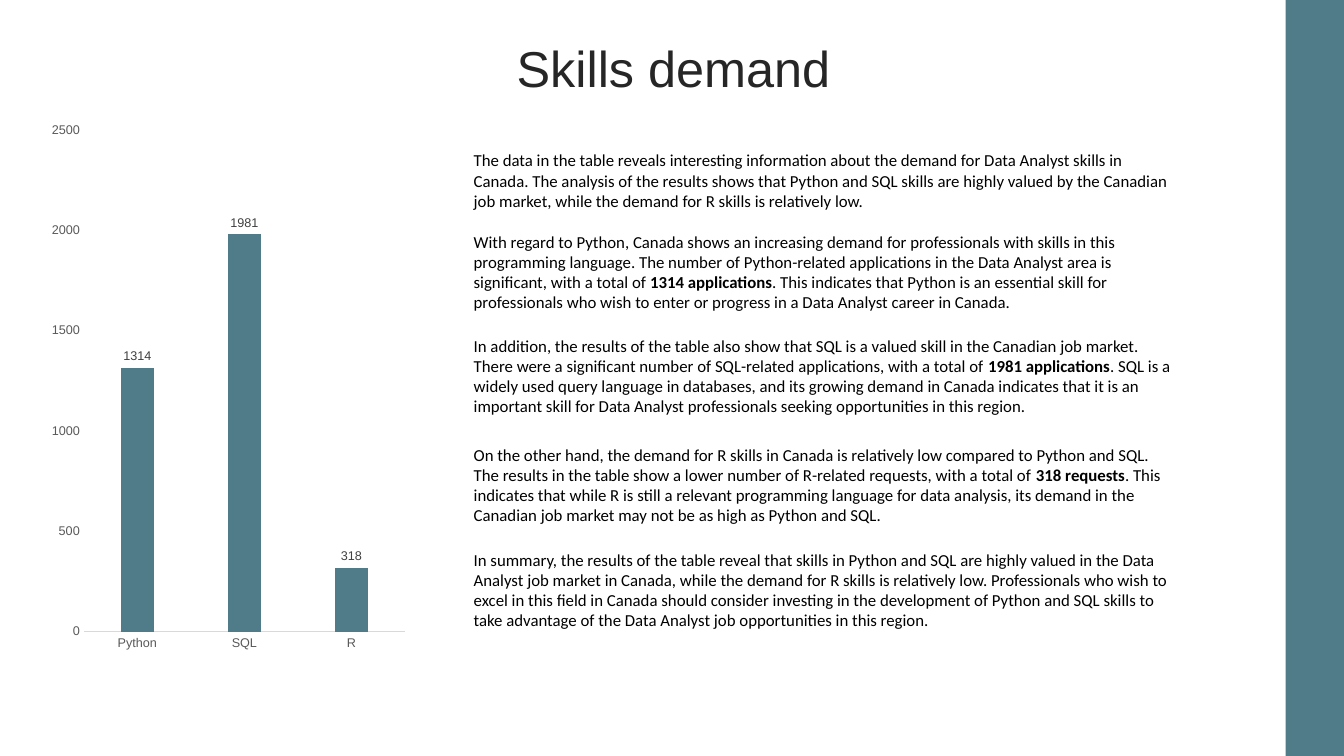
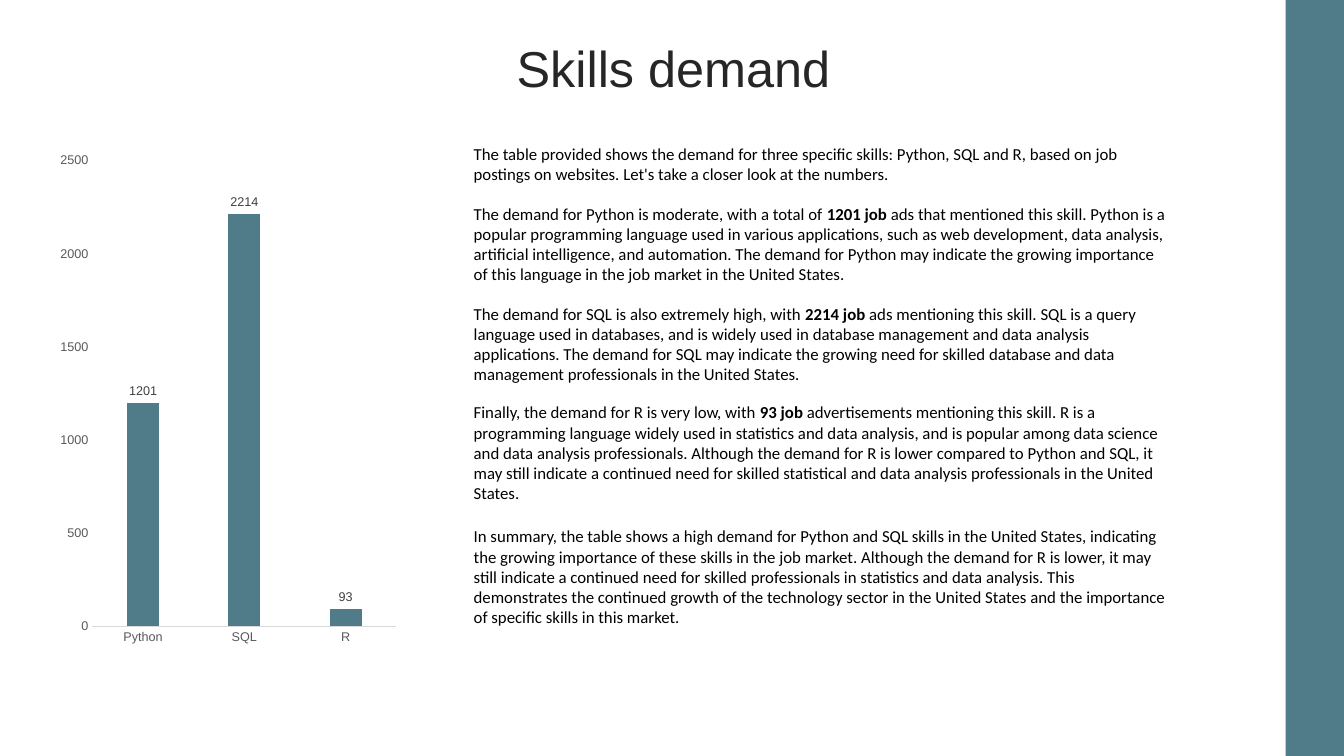
"""Build two slides on the demand for data skills."""
from dataclasses import dataclass

from pptx import Presentation
from pptx.chart.data import CategoryChartData
from pptx.dml.color import RGBColor
from pptx.enum.chart import XL_CHART_TYPE, XL_LABEL_POSITION, XL_TICK_MARK
from pptx.enum.shapes import MSO_SHAPE
from pptx.enum.text import MSO_ANCHOR, MSO_AUTO_SIZE, PP_ALIGN
from pptx.util import Inches, Pt

COLUMN = XL_CHART_TYPE.COLUMN_CLUSTERED
OUTSIDE = XL_LABEL_POSITION.OUTSIDE_END
NO_TICK = XL_TICK_MARK.NONE
RECT = MSO_SHAPE.RECTANGLE
TOP, MIDDLE = MSO_ANCHOR.TOP, MSO_ANCHOR.MIDDLE
FIXED, GROW = MSO_AUTO_SIZE.NONE, MSO_AUTO_SIZE.SHAPE_TO_FIT_TEXT
LEFT, CENTER = PP_ALIGN.LEFT, PP_ALIGN.CENTER


@dataclass(frozen=True)
class Theme:
    """Colours, fonts and type sizes of the deck."""
    teal: str = "507C89"
    ink: str = "262626"
    black: str = "000000"
    axis: str = "595959"
    label: str = "404040"
    rule: str = "D9D9D9"
    head: str = "Arial"
    body: str = "Calibri"
    title: float = 36
    copy: float = 12
    chart: float = 10
    small: float = 9


@dataclass(frozen=True)
class Box:
    """A place on the slide in inches."""
    left: float
    top: float
    width: float
    height: float

    def place(self) -> tuple:
        """Return the four lengths."""
        return tuple(Inches(n) for n in (self.left, self.top, self.width, self.height))


@dataclass(frozen=True)
class Note:
    """A text block; words between asterisks are bold."""
    top: float
    lines: int
    words: str


@dataclass(frozen=True)
class Page:
    """The chart and notes of one slide."""
    plot: Box
    counts: tuple
    notes: tuple


THEME = Theme()
TITLE = "Skills demand"
HEAD = Box(0.35, 0.31, 12.66, 0.79)
BAND = Box(12.75, 0, 0.58, 7.5)
NOTE_LEFT, NOTE_WIDTH = 4.6, 7.13
LINE, INSETS = 0.2, 0.1
SKILLS = ("Python", "SQL", "R")

PAGES = (
    Page(Box(0.44, 1.11, 3.65, 5.45), (1314, 1981, 318), (
        Note(1.44, 3,
             "The data in the table reveals interesting information about the demand for "
             "Data Analyst skills in Canada. The analysis of the results shows that Python "
             "and SQL skills are highly valued by the Canadian job market, while the demand "
             "for R skills is relatively low."),
        Note(2.25, 4,
             "With regard to Python, Canada shows an increasing demand for professionals "
             "with skills in this programming language. The number of Python-related "
             "applications in the Data Analyst area is significant, with a total of "
             "*1314 applications*. This indicates that Python is an essential skill for "
             "professionals who wish to enter or progress in a Data Analyst career in Canada."),
        Note(3.28, 4,
             "In addition, the results of the table also show that SQL is a valued skill in "
             "the Canadian job market. There were a significant number of SQL-related "
             "applications, with a total of *1981 applications*. SQL is a widely used query "
             "language in databases, and its growing demand in Canada indicates that it is "
             "an important skill for Data Analyst professionals seeking opportunities in "
             "this region."),
        Note(4.36, 4,
             "On the other hand, the demand for R skills in Canada is relatively low "
             "compared to Python and SQL. The results in the table show a lower number of "
             "R-related requests, with a total of *318 requests*. This indicates that while "
             "R is still a relevant programming language for data analysis, its demand in "
             "the Canadian job market may not be as high as Python and SQL."),
        Note(5.4, 4,
             "In summary, the results of the table reveal that skills in Python and SQL are "
             "highly valued in the Data Analyst job market in Canada, while the demand for R "
             "skills is relatively low. Professionals who wish to excel in this field in "
             "Canada should consider investing in the development of Python and SQL skills "
             "to take advantage of the Data Analyst job opportunities in this region."),
    )),
    Page(Box(0.53, 1.42, 3.47, 5.08), (1201, 2214, 93), (
        Note(1.38, 2,
             "The table provided shows the demand for three specific skills: Python, SQL and "
             "R, based on job postings on websites. Let's take a closer look at the numbers."),
        Note(1.97, 4,
             "The demand for Python is moderate, with a total of *1201 job *ads that "
             "mentioned this skill. Python is a popular programming language used in various "
             "applications, such as web development, data analysis, artificial intelligence, "
             "and automation. The demand for Python may indicate the growing importance of "
             "this language in the job market in the United States."),
        Note(2.96, 4,
             "The demand for SQL is also extremely high, with *2214 job *ads mentioning this "
             "skill. SQL is a query language used in databases, and is widely used in "
             "database management and data analysis applications. The demand for SQL may "
             "indicate the growing need for skilled database and data management "
             "professionals in the United States."),
        Note(3.94, 5,
             "Finally, the demand for R is very low, with *93 job *advertisements mentioning "
             "this skill. R is a programming language widely used in statistics and data "
             "analysis, and is popular among data science and data analysis professionals. "
             "Although the demand for R is lower compared to Python and SQL, it may still "
             "indicate a continued need for skilled statistical and data analysis "
             "professionals in the United States."),
        Note(5.17, 5,
             "In summary, the table shows a high demand for Python and SQL skills in the "
             "United States, indicating the growing importance of these skills in the job "
             "market. Although the demand for R is lower, it may still indicate a continued "
             "need for skilled professionals in statistics and data analysis. This "
             "demonstrates the continued growth of the technology sector in the United "
             "States and the importance of specific skills in this market."),
    )),
)


def style(font, size: float, color: str, face: str) -> None:
    """Set size, colour and face of a font."""
    font.size, font.name = Pt(size), face
    font.color.rgb = RGBColor.from_string(color)


def write(shape, words: str, *, size: float = THEME.copy, color: str = THEME.black,
          face: str = THEME.body, align=LEFT, anchor=TOP, fit=GROW,
          spacing: float = 1.0) -> None:
    """Fill a shape with formatted text."""
    frame = shape.text_frame
    frame.word_wrap, frame.auto_size = True, fit
    frame.vertical_anchor = anchor
    para = frame.paragraphs[0]
    para.alignment, para.line_spacing = align, spacing
    for index, part in enumerate(words.split("*")):
        run = para.add_run()
        run.text = part
        style(run.font, size, color, face)
        run.font.bold = index % 2 == 1


def add_frame(slide) -> None:
    """Set the title and draw the side band."""
    title = slide.shapes.title
    title.left, title.top, title.width, title.height = HEAD.place()
    write(title, TITLE, size=THEME.title, color=THEME.ink, face=THEME.head,
          align=CENTER, anchor=MIDDLE, fit=FIXED, spacing=0.9)
    band = slide.shapes.add_shape(RECT, *BAND.place())
    band.shadow.inherit = False
    band.fill.solid()
    band.fill.fore_color.rgb = RGBColor.from_string(THEME.teal)
    band.line.fill.background()


def add_note(slide, note: Note) -> None:
    """Add one block of body text."""
    box = Box(NOTE_LEFT, note.top, NOTE_WIDTH, INSETS + LINE * note.lines)
    write(slide.shapes.add_textbox(*box.place()), note.words)


def add_plot(slide, box: Box, counts: tuple) -> None:
    """Add the column chart of skills."""
    data = CategoryChartData()
    data.categories = SKILLS
    data.add_series("Series 1", counts)
    chart = slide.shapes.add_chart(COLUMN, *box.place(), data).chart
    chart.has_title = chart.has_legend = False
    style(chart.font, THEME.chart, THEME.black, THEME.head)
    for axis in (chart.category_axis, chart.value_axis):
        axis.major_tick_mark = axis.minor_tick_mark = NO_TICK
        axis.has_major_gridlines = False
        style(axis.tick_labels.font, THEME.small, THEME.axis, THEME.head)
    line = chart.category_axis.format.line
    line.color.rgb = RGBColor.from_string(THEME.rule)
    line.width = Pt(0.75)
    scale = chart.value_axis
    scale.format.line.fill.background()
    scale.minimum_scale, scale.maximum_scale, scale.major_unit = 0, 2500, 500
    plot = chart.plots[0]
    plot.gap_width, plot.overlap, plot.vary_by_categories = 219, -27, False
    series = plot.series[0]
    series.format.fill.solid()
    series.format.fill.fore_color.rgb = RGBColor.from_string(THEME.teal)
    labels = series.data_labels
    labels.show_value, labels.position = True, OUTSIDE
    style(labels.font, THEME.small, THEME.label, THEME.head)


def main() -> None:
    """Build and save the deck."""
    deck = Presentation()
    deck.slide_width, deck.slide_height = Inches(13.33), Inches(7.5)
    for page in PAGES:
        slide = deck.slides.add_slide(deck.slide_layouts[5])
        add_frame(slide)
        for note in page.notes:
            add_note(slide, note)
        add_plot(slide, page.plot, page.counts)
    deck.save("out.pptx")


if __name__ == "__main__":
    main()
